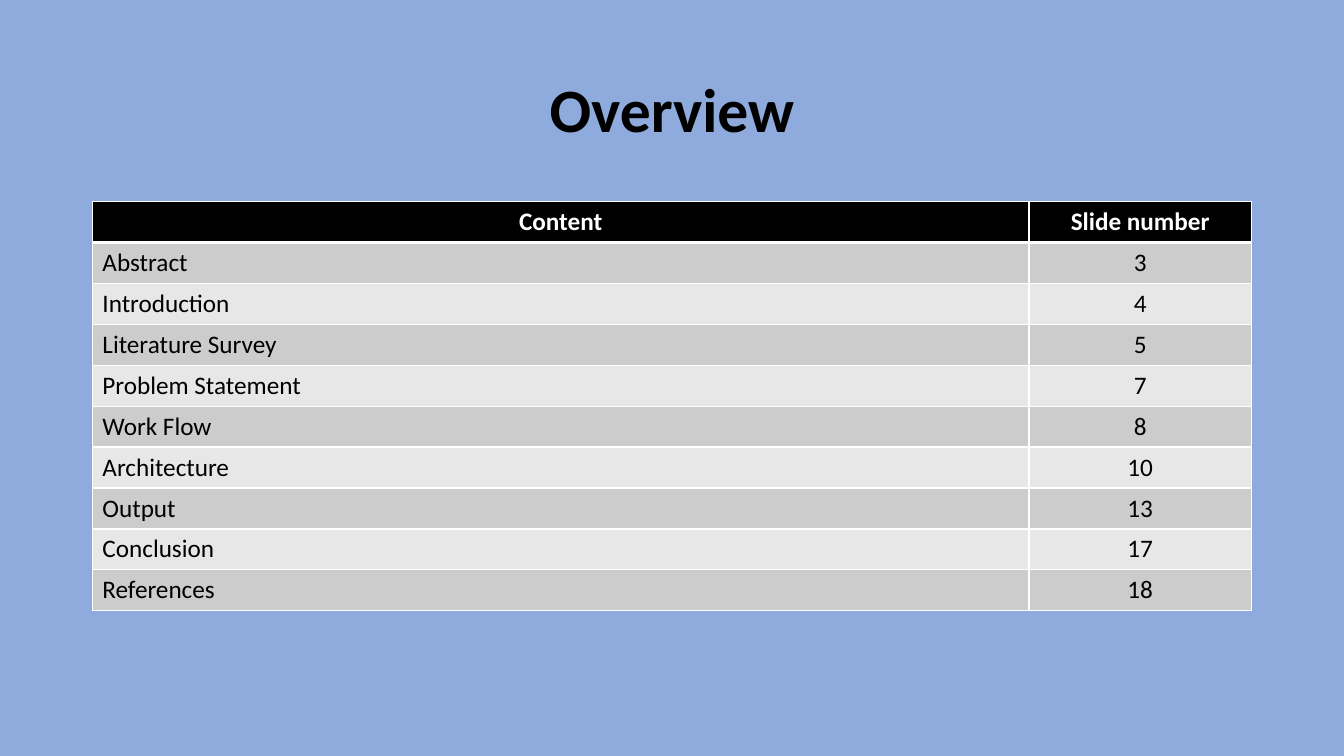
from dataclasses import dataclass

from lxml import etree
from pptx import Presentation
from pptx import util as u
from pptx.dml.color import RGBColor
from pptx.enum import text
from pptx.oxml.ns import qn

PX = 9525  # EMU per px, at 96 px to the inch


@dataclass(frozen=True)
class Theme:
    font: str = "Calibri"
    background: str = "8FAADC"
    ink: str = "000000"
    paper: str = "FFFFFF"
    bands: tuple = ("CCCCCC", "E7E7E7")
    title_size: int = 44
    table_size: int = 18
    rule: int = 1
    header_rule: int = 3


THEME = Theme()
HEADER = ("Content", "Slide number")
CONTENTS = [
    ("Abstract", 3),
    ("Introduction", 4),
    ("Literature Survey", 5),
    ("Problem Statement", 7),
    ("Work Flow", 8),
    ("Architecture", 10),
    ("Output", 13),
    ("Conclusion", 17),
    ("References", 18),
]
COLUMN_WIDTHS = (892, 212)
ROW_HEIGHT = 39


def px(*lengths):
    return [u.Emu(n * PX) for n in lengths]


def paint(fill, color):
    fill.solid()
    fill.fore_color.rgb = RGBColor.from_string(color)


def write(tf, words, size, color, bold, align):
    p = tf.paragraphs[0]
    p.alignment = align
    r = p.add_run()
    r.text = words
    font = {"name": THEME.font, "size": u.Pt(size), "bold": bold}
    for name, value in font.items():
        setattr(r.font, name, value)
    r.font.color.rgb = RGBColor.from_string(color)
    return p


def add_title(s, words, box):
    sp = s.shapes.title
    for name, value in zip(("left", "top", "width", "height"), px(*box)):
        setattr(sp, name, value)
    sp.text_frame.vertical_anchor = text.MSO_ANCHOR.MIDDLE
    p = write(sp.text_frame, words, THEME.title_size, THEME.ink, True,
              text.PP_ALIGN.CENTER)
    p.line_spacing = 0.9


def set_borders(cell, top, bottom):
    """Draw all four borders; call before the fill, which must follow them in the XML."""
    tc_pr = cell._tc.get_or_add_tcPr()
    widths = {"L": THEME.rule, "R": THEME.rule, "T": top, "B": bottom}
    for side, width in widths.items():
        ln = etree.SubElement(tc_pr, qn(f"a:ln{side}"), w=str(u.Pt(width)))
        fill = etree.SubElement(ln, qn("a:solidFill"))
        etree.SubElement(fill, qn("a:srgbClr"), val=THEME.paper)


def format_cell(cell, words, row, col):
    is_header = row == 0
    centred = is_header or col == 1
    set_borders(cell,
                top=THEME.header_rule if row == 1 else THEME.rule,
                bottom=THEME.header_rule if is_header else THEME.rule)
    paint(cell.fill, THEME.ink if is_header else THEME.bands[(row - 1) % 2])
    write(cell.text_frame, words, THEME.table_size,
          THEME.paper if is_header else THEME.ink, is_header,
          text.PP_ALIGN.CENTER if centred else text.PP_ALIGN.LEFT)


def add_contents_table(s, left, top):
    rows = [HEADER, *CONTENTS]
    box = px(left, top, sum(COLUMN_WIDTHS), ROW_HEIGHT * len(rows))
    table = s.shapes.add_table(len(rows), len(HEADER), *box).table
    for column, width in zip(table.columns, px(*COLUMN_WIDTHS)):
        column.width = width
    for i, row in enumerate(rows):
        for j, value in enumerate(row):
            format_cell(table.cell(i, j), str(value), i, j)


def main():
    prs = Presentation()
    prs.slide_width, prs.slide_height = px(1280, 720)
    s = prs.slides.add_slide(prs.slide_layouts.get_by_name("Title Only"))
    paint(s.background.fill, THEME.background)
    add_title(s, "Overview", (88, 38, 1104, 139))
    add_contents_table(s, 88, 192)
    prs.save("out.pptx")


if __name__ == "__main__":
    main()
